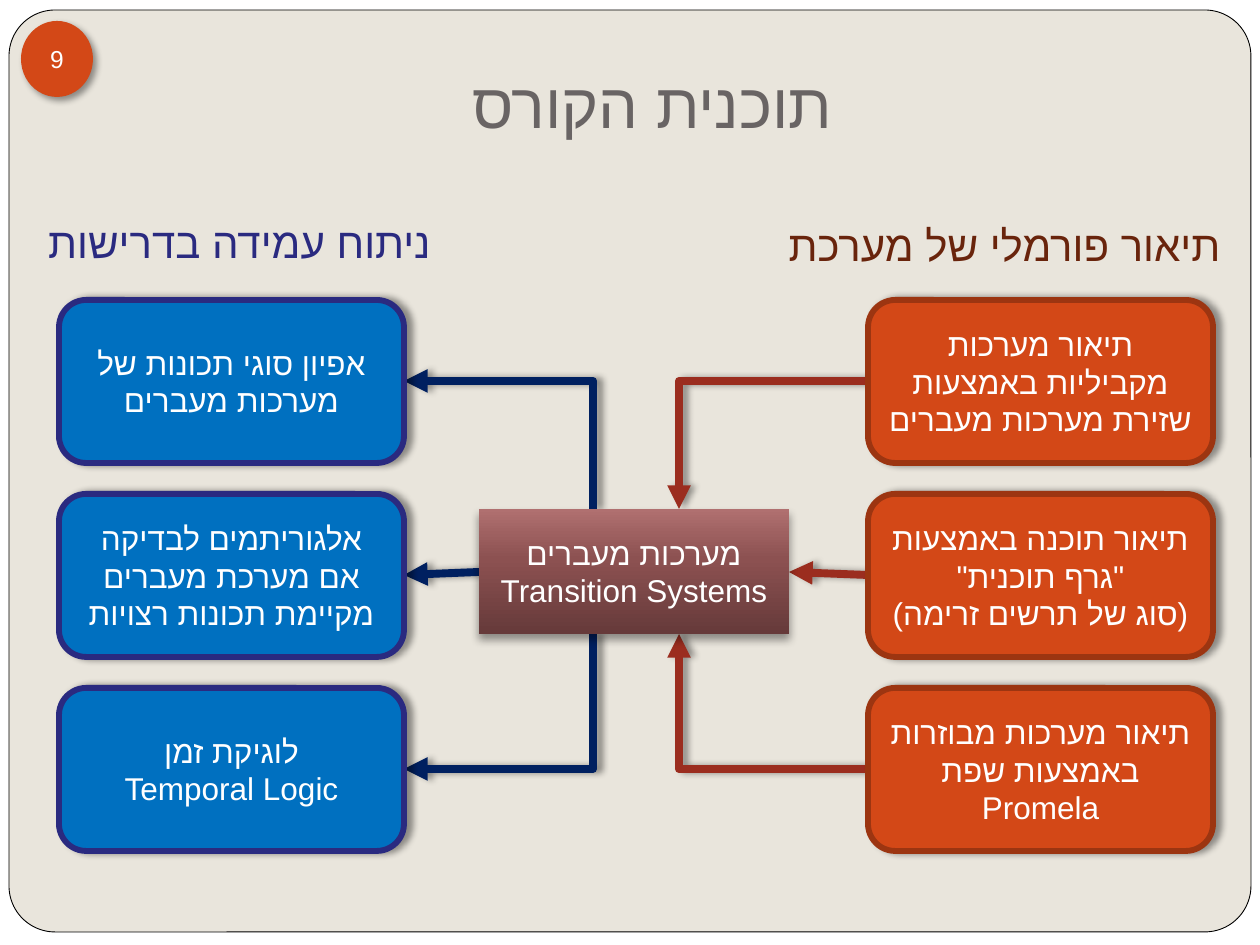
from copy import deepcopy

from lxml.etree import SubElement
from pptx import Presentation
from pptx.dml.color import RGBColor
from pptx.enum.shapes import MSO_CONNECTOR as Connector, MSO_SHAPE as Preset
from pptx.enum.text import MSO_ANCHOR as Anchor, PP_ALIGN as Align
from pptx.oxml.ns import qn
from pptx.util import Emu, Pt

# Content
TITLE = "תוכנית הקורס"
NUMBER = "9"
HUB_TEXT = "מערכות מעברים\nTransition Systems"
ANALYSIS = {
    "heading": "ניתוח עמידה בדרישות", "heading_box": (-3, 210, 446, 63),
    "boxes": ["אפיון סוגי תכונות של מערכות מעברים",
              "אלגוריתמים לבדיקה אם מערכת מעברים מקיימת תכונות רצויות",
              "לוגיקת זמן\nTemporal Logic"],
    "left": 59, "edge": 404, "hub_edge": 479, "bend": 593,
    "colors": ("blue", "indigo", "navy", "indigo"),
    "arrow": "a:headEnd", "rotation": 0,
}
DESCRIPTION = {
    "heading": "תיאור פורמלי של מערכת", "heading_box": (730, 213, 503, 63),
    "boxes": ["תיאור מערכות מקביליות באמצעות שזירת מערכות מעברים",
              "תיאור תוכנה באמצעות \"גרף תוכנית\"\n(סוג של תרשים זרימה)",
              "תיאור מערכות מבוזרות באמצעות שפת Promela"],
    "left": 868, "edge": 868, "hub_edge": 789, "bend": 679,
    "colors": ("orange", "rust", "brick", "brown"),
    "arrow": "a:tailEnd", "rotation": 180,
}
COLORS = {
    "paper": "E9E5DC", "white": "FFFFFF", "black": "000000", "gray": "696464",
    "orange": "D34817", "rust": "9C3511", "brick": "9B2D1F", "brown": "69240C",
    "blue": "0070C0", "indigo": "2A2A80", "navy": "002060",
}
HUB_STOPS = [(0, "663A3A"), (0.6, "8C5151"), (1, "B07070")]

# Layout in px
BOX_TOP, BOX_STEP, BOX_WIDTH, BOX_HEIGHT = 300, 194, 345, 163
HUB_BOX = (479, 509, 310, 125)
HUB_TOP, HUB_BOTTOM, HUB_MIDDLE = 509, 634, 572


def px(length):
    return Emu(round(length * 914400 / 126))


def color(name):
    return RGBColor.from_string(COLORS[name])


def write(shape, text, size=18, ink="white", align=Align.CENTER,
          anchor=Anchor.MIDDLE, rtl=True, wrap=True):
    frame = shape.text_frame
    frame.word_wrap, frame.vertical_anchor = wrap, anchor
    paragraph = frame.paragraphs[0]
    paragraph.alignment = align
    if rtl:
        paragraph._p.get_or_add_pPr().set("rtl", "1")
    for index, line in enumerate(text.split("\n")):
        if index:
            paragraph.add_line_break()
        run = paragraph.add_run()
        run.text = line
        run.font.size, run.font.name = Pt(size), "Arial"
        run.font.color.rgb = color(ink)
        SubElement(run.font._element, qn("a:cs"), typeface="Arial")


def add_shadow(effects, distance=3, blur=4, angle=0):
    shadow = SubElement(effects, qn("a:outerShdw"), blurRad=str(Pt(blur)),
                        dist=str(Pt(distance)), dir=str(angle * 60000),
                        algn="ctr", rotWithShape="0")
    ink = SubElement(shadow, qn("a:srgbClr"), val=COLORS["black"])
    SubElement(ink, qn("a:alpha"), val="40000")


def add_shape(preset, box, fill=None, line=None, width=1.0, **shadow):
    shape = slide.shapes.add_shape(preset, *map(px, box))
    if fill:
        shape.fill.solid()
        shape.fill.fore_color.rgb = color(fill)
    if line:
        shape.line.color.rgb = color(line)
        shape.line.width = Pt(width)
    else:
        shape.line.fill.background()
    shape.shadow.inherit = False
    if shadow:
        add_shadow(shape._element.spPr.find(qn("a:effectLst")), **shadow)
    return shape


def add_arrow(kind, begin, end, ink, arrow, rotation=0):
    connector = slide.shapes.add_connector(kind, *map(px, begin + end))
    connector.line.color.rgb = color(ink)
    connector.line.width = Pt(4.5)
    properties = connector._element.spPr
    SubElement(properties.find(qn("a:ln")), qn(arrow), type="triangle")
    add_shadow(SubElement(properties, qn("a:effectLst")))
    if kind == Connector.ELBOW:
        properties.find(qn("a:prstGeom")).set("prst", "bentConnector2")
        connector.rotation = rotation


def add_side(side):
    fill, border, arrow_ink, heading_ink = side["colors"]
    tops = [BOX_TOP + row * BOX_STEP for row in range(3)]
    upper, middle, lower = [top + BOX_HEIGHT // 2 for top in tops]

    # Arrows between the boxes and the hub
    for level, hub_y in ((upper, HUB_TOP), (lower, HUB_BOTTOM)):
        ends = [(side["edge"], level), (side["bend"], hub_y)]
        if side["rotation"]:
            ends.reverse()  # half a turn swaps the two ends
        add_arrow(Connector.ELBOW, *ends, arrow_ink, side["arrow"], side["rotation"])
    add_arrow(Connector.STRAIGHT, (side["edge"], middle),
              (side["hub_edge"], HUB_MIDDLE), arrow_ink, side["arrow"])

    # Boxes and heading
    for top, text in zip(tops, side["boxes"]):
        box = add_shape(Preset.ROUNDED_RECTANGLE, (side["left"], top, BOX_WIDTH, BOX_HEIGHT),
                        fill, border, 3.35, angle=0)
        write(box, text)
    heading = slide.shapes.add_textbox(*map(px, side["heading_box"]))
    write(heading, side["heading"], size=24, ink=heading_ink,
          align=Align.RIGHT, anchor=Anchor.TOP)


presentation = Presentation()
presentation.slide_width, presentation.slide_height = px(1260), px(945)
slide = presentation.slides.add_slide(presentation.slide_layouts[5])

# Background and rounded page, behind the title
slide.background.fill.solid()
slide.background.fill.fore_color.rgb = color("white")
page = add_shape(Preset.ROUNDED_RECTANGLE, (9, 10, 1242, 922), "paper", "black", 0.5)
page.adjustments[0] = 0.05
slide.shapes._spTree.insert(2, page._element)

# Title
title = slide.shapes.title
title.left, title.top, title.width, title.height = map(px, (45, -34, 1215, 188))
title.text_frame.margin_bottom = px(13)
write(title, TITLE, size=36, ink="gray", anchor=Anchor.BOTTOM)

# Slide number badge
badge = add_shape(Preset.OVAL, (21, 21, 72, 76), "orange", angle=45)
frame = badge.text_frame
frame.margin_left = frame.margin_right = frame.margin_top = frame.margin_bottom = 0
write(badge, NUMBER, size=14, rtl=False, wrap=False)

# Two sides around the hub
add_side(DESCRIPTION)
add_side(ANALYSIS)

# Hub
hub = add_shape(Preset.RECTANGLE, HUB_BOX, blur=5.2, angle=90)
hub.fill.gradient()
hub.fill.gradient_angle = 90
stop_list = hub._element.spPr.find(".//" + qn("a:gsLst"))
stop_list.append(deepcopy(stop_list[0]))
for stop, (position, shade) in zip(hub.fill.gradient_stops, HUB_STOPS):
    stop.position = position
    stop.color.rgb = RGBColor.from_string(shade)
write(hub, HUB_TEXT)

presentation.save("out.pptx")
